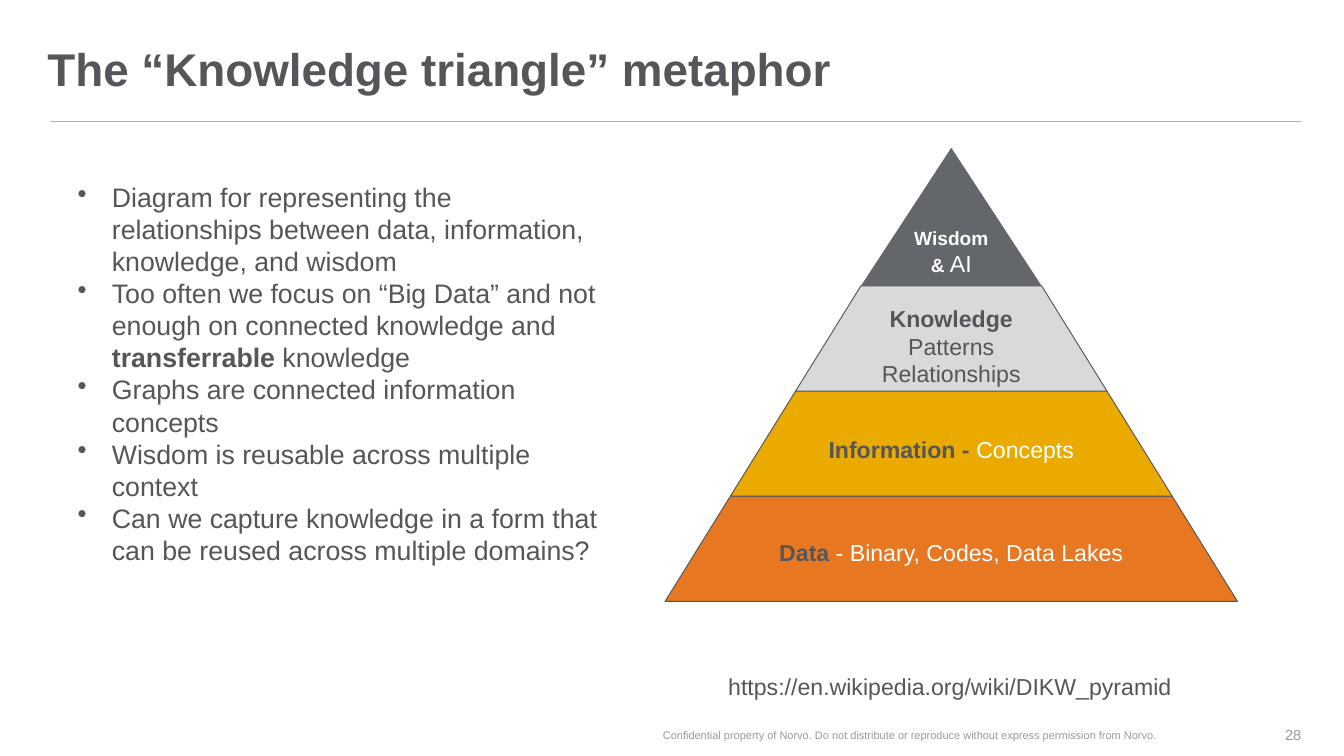
import dataclasses

import lxml.etree
import pptx
import pptx.dml.color
import pptx.enum.shapes
import pptx.enum.text
import pptx.oxml.ns
import pptx.util

PX = 9144
ALIGN = pptx.enum.text.PP_ALIGN
ANCHOR = pptx.enum.text.MSO_ANCHOR
SHAPE = pptx.enum.shapes.MSO_SHAPE


@dataclasses.dataclass(frozen=True)
class Theme:
    font: str = "Arial"
    ink: str = "55565A"
    muted: str = "999A9B"
    rule: str = "B1B3B3"
    white: str = "FFFFFF"
    data: str = "E87722"
    information: str = "EAAA00"
    knowledge: str = "D9D9D9"
    wisdom: str = "63666A"
    title_size: float = 48
    body_size: float = 28
    label_size: float = 24.2
    small_size: float = 20
    page_size: float = 15.3
    footer_size: float = 11.5


THEME = Theme()


def px(*lengths):
    return [pptx.util.Emu(length * PX) for length in lengths]


def color(value):
    return pptx.dml.color.RGBColor.from_string(value)


def add_bullet(paragraph, indent):
    properties = paragraph._p.get_or_add_pPr()
    properties.set("marL", str(indent * PX))
    properties.set("indent", str(-indent * PX))
    tag = pptx.oxml.ns.qn("a:buChar")
    lxml.etree.SubElement(properties, tag).set("char", "•")


def write_text(frame, paragraphs, size=THEME.label_size, ink=THEME.ink, bold=False,
               align=ALIGN.LEFT, anchor=ANCHOR.TOP, insets=(10, 5, 10, 5),
               bullet_indent=0, line_spacing=None):
    frame.word_wrap = True
    frame.auto_size = pptx.enum.text.MSO_AUTO_SIZE.NONE
    frame.vertical_anchor = anchor
    (frame.margin_left, frame.margin_top,
     frame.margin_right, frame.margin_bottom) = px(*insets)
    for index, runs in enumerate(paragraphs):
        paragraph = frame.add_paragraph() if index else frame.paragraphs[0]
        if bullet_indent:
            add_bullet(paragraph, bullet_indent)
        paragraph.alignment = align
        if line_spacing:
            paragraph.line_spacing = line_spacing
        for words, changes in runs:
            run = paragraph.add_run()
            run.text = words
            run.font.name = THEME.font
            run.font.size = pptx.util.Pt(changes.get("size", size))
            run.font.bold = changes.get("bold", bold)
            run.font.color.rgb = color(changes.get("ink", ink))


def add_text(slide, box, paragraphs, **text_format):
    frame = slide.shapes.add_textbox(*px(*box)).text_frame
    write_text(frame, paragraphs, **text_format)


def add_header(slide, box):
    left, top, width, height = box
    title = slide.shapes.title
    title.left, title.top, title.width, title.height = px(left, top, width, height)
    write_text(title.text_frame, [[("The “Knowledge triangle” metaphor", {})]],
               size=THEME.title_size, bold=True, anchor=ANCHOR.BOTTOM,
               insets=(0, 0, 0, 0), line_spacing=0.9)
    rule_y = top + height + 37
    rule = slide.shapes.add_connector(
        pptx.enum.shapes.MSO_CONNECTOR.STRAIGHT,
        *px(left + 4, rule_y, left + width + 10, rule_y))
    rule.line.color.rgb = color(THEME.rule)
    rule.line.width = pptx.util.Pt(1)
    lxml.etree.SubElement(rule._element.spPr, pptx.oxml.ns.qn("a:effectLst"))


def add_points(slide, box):
    points = [
        [("Diagram for representing the relationships between data, "
          "information, knowledge, and wisdom", {})],
        [("Too often we focus on “Big Data” and not enough on connected "
          "knowledge and ", {}), ("transferrable", {"bold": True}), (" knowledge", {})],
        [("Graphs are connected information concepts", {})],
        [("Wisdom is reusable across multiple context", {})],
        [("Can we capture knowledge in a form that can be reused across "
          "multiple domains?", {})],
    ]
    add_text(slide, box, points, size=THEME.body_size, bullet_indent=50)


def add_tier(slide, kind, box, fill, runs, outlined=True, **text_format):
    tier = slide.shapes.add_shape(kind, *px(*box))
    tier.shadow.inherit = False
    tier.fill.solid()
    tier.fill.fore_color.rgb = color(fill)
    if outlined:
        tier.line.color.rgb = color(THEME.ink)
        tier.line.width = pptx.util.Pt(1)
    else:
        tier.line.fill.background()
    write_text(tier.text_frame, [runs], align=ALIGN.CENTER, anchor=ANCHOR.MIDDLE,
               **text_format)
    return tier


def add_pyramid(slide, box):
    left, top, width, height = box
    tier_height, step = 153, 95
    heading = {"bold": True}
    light = {"ink": THEME.white}
    tiers = [
        (THEME.data, [("Data", heading), (" - Binary, Codes, Data Lakes", light)]),
        (THEME.information, [("Information - ", heading), ("Concepts", light)]),
        (THEME.knowledge, [("Knowledge", heading), (" Patterns Relationships", {})]),
    ]
    for level, (fill, runs) in enumerate(tiers):
        tier_box = (left + level * step, top + height - (level + 1) * tier_height,
                    width - 2 * level * step, tier_height)
        tier = add_tier(slide, SHAPE.TRAPEZOID, tier_box, fill, runs)
        tier.adjustments[0] = step / tier_height
    inset = len(tiers) * step
    peak_box = (left + inset, top, width - 2 * inset, height - len(tiers) * tier_height)
    wisdom = [("Wisdom & ", {"size": THEME.small_size, "bold": True}), ("AI", {})]
    add_tier(slide, SHAPE.ISOSCELES_TRIANGLE, peak_box, THEME.wisdom, wisdom,
             outlined=False, ink=THEME.white, insets=(0, 5, 0, 5))


def add_reference(slide, box):
    add_text(slide, box, [[("https://en.wikipedia.org/wiki/DIKW_pyramid", {})]])


def add_footer(slide, box):
    left, top, width, height = box
    page_width = 87
    notice = ("Confidential property of Norvo. Do not distribute or reproduce "
              "without express permission from Norvo.")
    footer_format = dict(ink=THEME.muted, anchor=ANCHOR.MIDDLE, insets=(0, 0, 0, 0))
    add_text(slide, (left, top, 950, height), [[(notice, {})]],
             size=THEME.footer_size, align=ALIGN.CENTER, **footer_format)
    add_text(slide, (left + width - page_width, top, page_width, height), [[("28", {})]],
             size=THEME.page_size, align=ALIGN.RIGHT, **footer_format)


def main():
    deck = pptx.Presentation()
    deck.slide_width, deck.slide_height = px(1956, 1100)
    slide = deck.slides.add_slide(deck.slide_layouts[5])
    add_header(slide, (69, 0, 1815, 140))
    add_points(slide, (103, 258, 785, 623))
    add_pyramid(slide, (968, 215, 833, 660))
    add_reference(slide, (1050, 973, 834, 51))
    add_footer(slide, (849, 1040, 1045, 59))
    deck.save("out.pptx")


if __name__ == "__main__":
    main()
